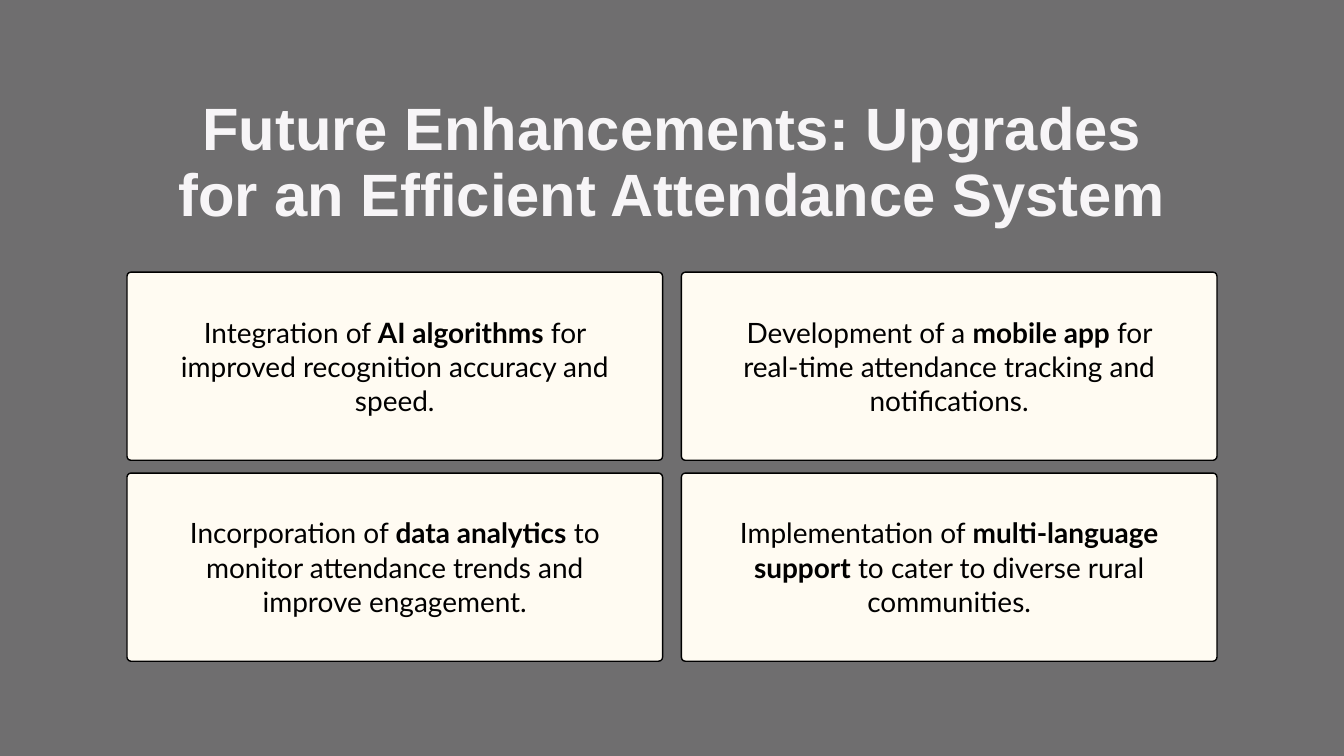
from pptx import Presentation
from pptx.dml.color import RGBColor
from pptx.enum.shapes import MSO_SHAPE
from pptx.enum.text import MSO_AUTO_SIZE, PP_ALIGN
from pptx.util import Inches, Pt

ROUNDED = MSO_SHAPE.ROUNDED_RECTANGLE
CENTER = PP_ALIGN.CENTER
GROW = MSO_AUTO_SIZE.SHAPE_TO_FIT_TEXT

COLORS = {
    "background": "6F6E6F",
    "card": "FFFBF2",
    "ink": "000000",
    "title": "F7F5F7",
}

TITLE = "Future Enhancements: Upgrades for an Efficient Attendance System"
CARDS = [
    ("Integration of ", "AI algorithms", " for improved recognition accuracy and speed."),
    ("Development of a ", "mobile app", " for real-time attendance tracking and notifications."),
    ("Incorporation of ", "data analytics", " to monitor attendance trends and improve engagement."),
    ("Implementation of ", "multi-language support", " to cater to diverse rural communities."),
]

COLUMNS = 2
GRID_LEFT, GRID_TOP = 1.89, 4.05
CARD_WIDTH, CARD_HEIGHT = 7.97, 2.8
COLUMN_STEP, ROW_STEP = 8.25, 2.99
CORNER_RADIUS = 0.06
TEXT_INSET_X, TEXT_INSET_Y = 0.51, 0.63
TEXT_HEIGHT = 1.51


def color(name):
    return RGBColor.from_string(COLORS[name])


def add_card(slide, left, top):
    card = slide.shapes.add_shape(
        ROUNDED, Inches(left), Inches(top), Inches(CARD_WIDTH), Inches(CARD_HEIGHT))
    card.adjustments[0] = CORNER_RADIUS / CARD_HEIGHT
    card.shadow.inherit = False
    card.fill.solid()
    card.fill.fore_color.rgb = color("card")
    card.line.color.rgb = color("ink")
    card.line.width = Pt(1.5)


def add_text(slide, box, font_name, size, spacing, color_name):
    frame = slide.shapes.add_textbox(*map(Inches, box)).text_frame
    frame.margin_left = frame.margin_right = frame.margin_top = frame.margin_bottom = 0
    frame.word_wrap = True
    frame.auto_size = GROW
    paragraph = frame.paragraphs[0]
    paragraph.alignment = CENTER
    paragraph.line_spacing = Pt(spacing)
    paragraph.font.name = font_name
    paragraph.font.size = Pt(size)
    paragraph.font.color.rgb = color(color_name)
    return paragraph


def main():
    presentation = Presentation()
    presentation.slide_width = Inches(20)
    presentation.slide_height = Inches(11.25)
    slide = presentation.slides.add_slide(presentation.slide_layouts[6])
    slide.background.fill.solid()
    slide.background.fill.fore_color.rgb = color("background")

    title = add_text(slide, (2.32, 1.44, 15.35, 1.96), "Arial", 64, 70.4, "title")
    title.font.bold = True
    title.add_run().text = TITLE

    for index, (before, keyword, after) in enumerate(CARDS):
        row, column = divmod(index, COLUMNS)
        left = GRID_LEFT + column * COLUMN_STEP
        top = GRID_TOP + row * ROW_STEP
        add_card(slide, left, top)
        box = (left + TEXT_INSET_X, top + TEXT_INSET_Y,
               CARD_WIDTH - 2 * TEXT_INSET_X, TEXT_HEIGHT)
        paragraph = add_text(slide, box, "Lato", 30, 36.6, "ink")
        for text, bold in ((before, False), (keyword, True), (after, False)):
            run = paragraph.add_run()
            run.text = text
            run.font.bold = bold

    presentation.save("out.pptx")


if __name__ == "__main__":
    main()
